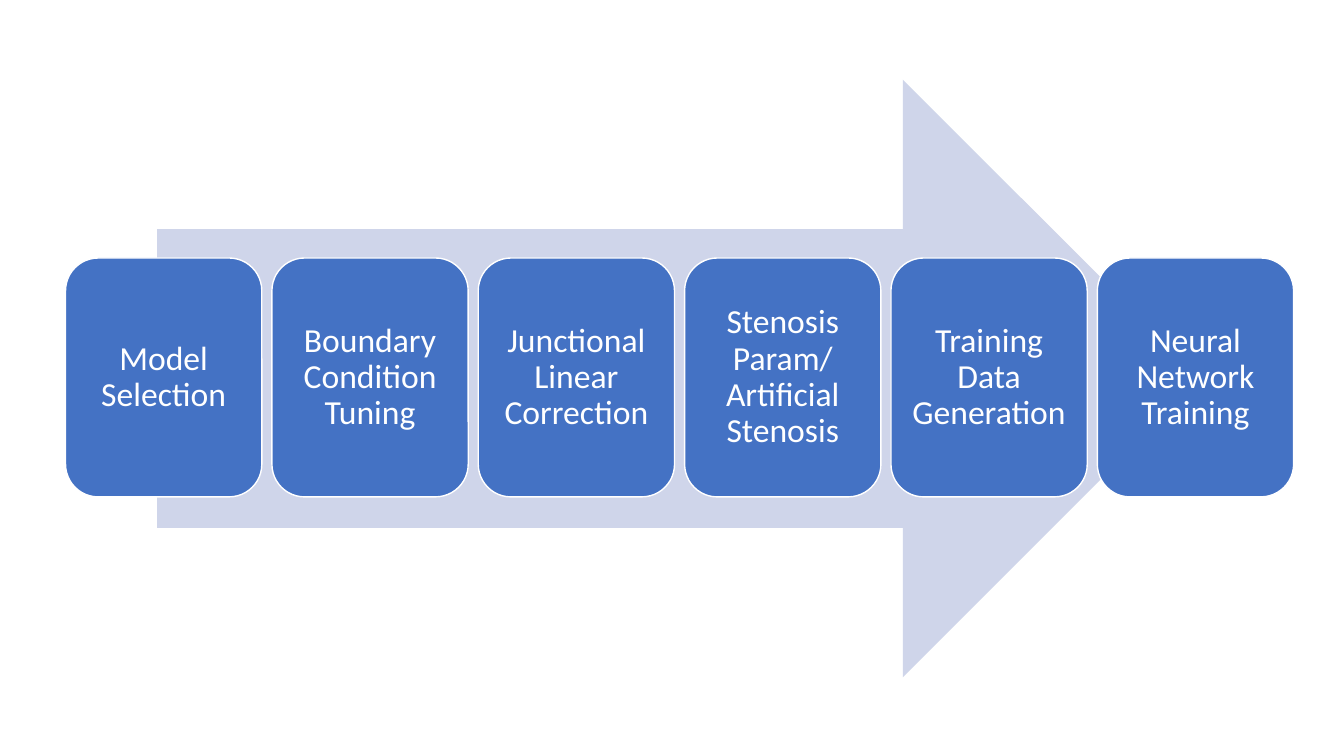
from pptx import Presentation
from pptx.dml.color import RGBColor
from pptx.enum.shapes import MSO_SHAPE
from pptx.enum.text import MSO_ANCHOR, PP_ALIGN
from pptx.util import Inches, Pt

ARROW = MSO_SHAPE.RIGHT_ARROW
ROUNDED = MSO_SHAPE.ROUNDED_RECTANGLE
MIDDLE = MSO_ANCHOR.MIDDLE
CENTER = PP_ALIGN.CENTER

STEPS = [
    "Model Selection",
    "Boundary Condition Tuning",
    "Junctional Linear Correction",
    "Stenosis Param/ Artificial Stenosis",
    "Training Data Generation",
    "Neural Network Training",
]
STEP_GAP = 0.1


def color(code):
    return RGBColor.from_string(code)


def add_block(page, kind, left, top, width, height, fill):
    block = page.shapes.add_shape(
        kind, Inches(left), Inches(top), Inches(width), Inches(height))
    block.shadow.inherit = False
    block.fill.solid()
    block.fill.fore_color.rgb = color(fill)
    return block


def add_arrow(page, left, top, width, height):
    arrow = add_block(page, ARROW, left, top, width, height, "CFD5EA")
    arrow.line.fill.background()


def add_step(page, label, left, top, width, height):
    step = add_block(page, ROUNDED, left, top, width, height, "4472C4")
    step.line.color.rgb = color("FFFFFF")
    step.line.width = Pt(1)
    frame = step.text_frame
    frame.word_wrap = True
    frame.vertical_anchor = MIDDLE
    frame.margin_left = frame.margin_right = Inches(0.1)
    frame.margin_top = frame.margin_bottom = Inches(0.1)
    para = frame.paragraphs[0]
    para.alignment = CENTER
    para.line_spacing = 0.9
    span = para.add_run()
    span.text = label
    span.font.name = "Calibri"
    span.font.size = Pt(24)
    span.font.color.rgb = color("FFFFFF")


def add_steps(page, left, top, width, height):
    pitch = (width + STEP_GAP) / len(STEPS)
    for index, label in enumerate(STEPS):
        add_step(page, label, left + index * pitch, top, pitch - STEP_GAP, height)


def main():
    deck = Presentation()
    deck.slide_width = Inches(13.33)
    deck.slide_height = Inches(7.5)
    page = deck.slides.add_slide(deck.slide_layouts[6])
    add_arrow(page, 1.56, 0.79, 10.36, 5.93)
    add_steps(page, 0.65, 2.56, 12.18, 2.37)
    deck.save("out.pptx")


if __name__ == "__main__":
    main()
